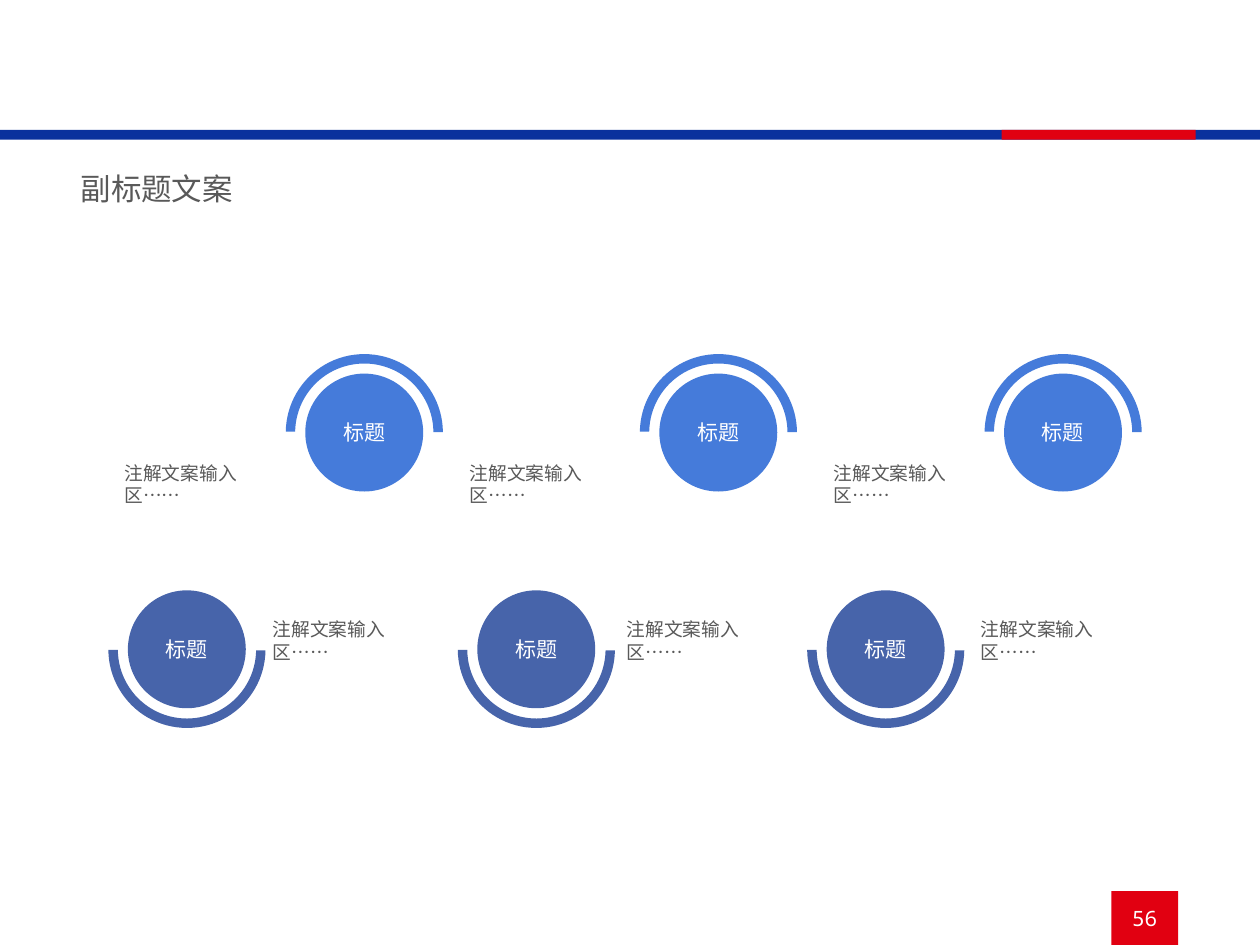
from dataclasses import dataclass
from pptx import Presentation
from pptx.dml.color import RGBColor as RGB
from pptx.enum.shapes import MSO_SHAPE as SHAPE
from pptx.enum.text import MSO_ANCHOR as ANCHOR, MSO_AUTO_SIZE as AUTO, PP_ALIGN as ALIGN
from pptx.oxml.ns import qn
from pptx.util import Inches, Pt
from lxml import etree


@dataclass(frozen=True)
class Theme:
    navy: str = "0A319D"
    red: str = "E10011"
    sky: str = "457BDA"
    indigo: str = "4764AA"
    grey: str = "595959"
    white: str = "FFFFFF"
    cjk: str = "Noto Sans CJK SC"
    mono: str = "Noto Sans Mono"
    subtitle: int = 13
    label: int = 9
    caption: int = 8


T = Theme()
WIDTH, HEIGHT = Inches(7.48), Inches(5.61)
COLS = 100
ARC, DISC = 12.47, 9.36
UPPER_BADGES, UPPER_CAPTIONS = (22.68, 50.78, 78.14), (8.56, 35.96, 64.84)
LOWER_BADGES = [8.6 + 27.73 * i for i in range(3)]
LOWER_CAPTIONS = [20.32 + 28.1 * i for i in range(3)]


def grid(*cells):
    return [round(c * WIDTH / COLS) for c in cells]


def write(tf, text, size, color, font=T.cjk, align=ALIGN.LEFT):
    p = tf.paragraphs[0]
    p.alignment = align
    r = p.add_run()
    r.text = text
    r.font.size = Pt(size)
    r.font.name = font
    r.font.color.rgb = RGB.from_string(color)
    etree.SubElement(r.font._element, qn("a:ea"), typeface=font)


def add_filled(shapes, kind, box, color):
    sp = shapes.add_shape(kind, *grid(*box))
    sp.shadow.inherit = False
    sp.fill.solid()
    sp.fill.fore_color.rgb = RGB.from_string(color)
    sp.line.fill.background()
    return sp


def add_centred(sp, text, font=T.cjk):
    tf = sp.text_frame
    tf.margin_left = tf.margin_right = tf.margin_top = tf.margin_bottom = 0
    tf.vertical_anchor = ANCHOR.MIDDLE
    write(tf, text, T.label, T.white, font, ALIGN.CENTER)


def add_text(s, box, text, size):
    tf = s.shapes.add_textbox(*grid(*box)).text_frame
    tf.word_wrap = True
    tf.auto_size = AUTO.SHAPE_TO_FIT_TEXT
    write(tf, text, size, T.grey)


def add_badge(s, col, row, color, rotation):
    shapes = s.shapes.add_group_shape().shapes
    gap = (ARC - DISC) / 2
    disc = add_filled(shapes, SHAPE.FLOWCHART_CONNECTOR, (col + gap, row + gap, DISC, DISC), color)
    add_centred(disc, "标题")
    arc = add_filled(shapes, SHAPE.BLOCK_ARC, (col, row, ARC, ARC), color)
    for i, value in enumerate((108.44, 215.77, 0.06)):
        arc.adjustments[i] = value
    arc.rotation = rotation


def add_row(s, badges, badge_row, captions, caption_row, color, rotation):
    for col in badges:
        add_badge(s, col, badge_row, color, rotation)
    for col in captions:
        add_text(s, (col, caption_row, 15.64, 3.21), "注解文案输入区……", T.caption)


def main():
    prs = Presentation()
    prs.slide_width, prs.slide_height = WIDTH, HEIGHT
    s = prs.slides.add_slide(prs.slide_layouts[6])
    add_filled(s.shapes, SHAPE.RECTANGLE, (0, 10.32, COLS, 0.78), T.navy)
    add_filled(s.shapes, SHAPE.RECTANGLE, (79.5, 10.32, 15.4, 0.78), T.red)
    page = add_filled(s.shapes, SHAPE.RECTANGLE, (88.2, 70.72, 5.3, 4.28), T.red)
    add_centred(page, "56", T.mono)
    add_text(s, (5.1, 12.83, 21.12, 4.41), "副标题文案", T.subtitle)
    add_row(s, UPPER_BADGES, 28.1, UPPER_CAPTIONS, 35.96, T.sky, 0)
    add_row(s, LOWER_BADGES, 46.8 - 1.5, LOWER_CAPTIONS, 48.4, T.indigo, 180)
    prs.save("out.pptx")


if __name__ == "__main__":
    main()
